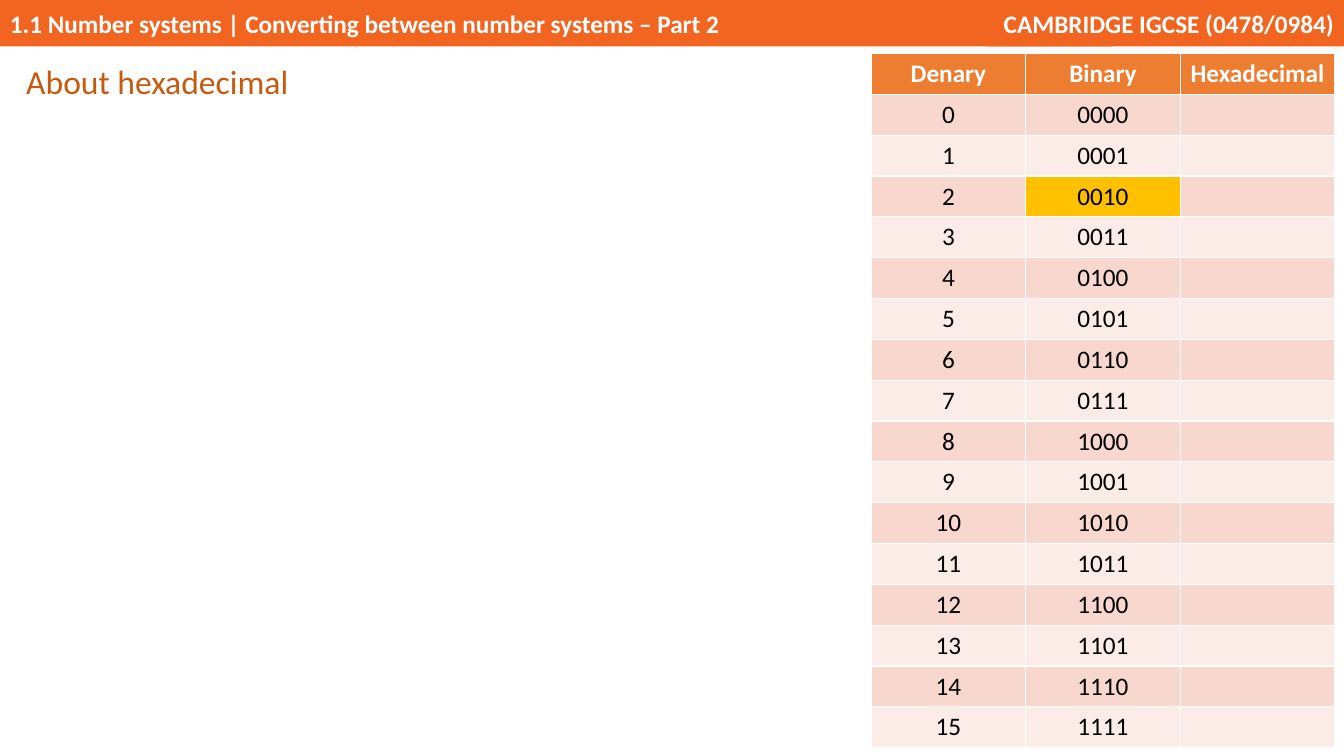
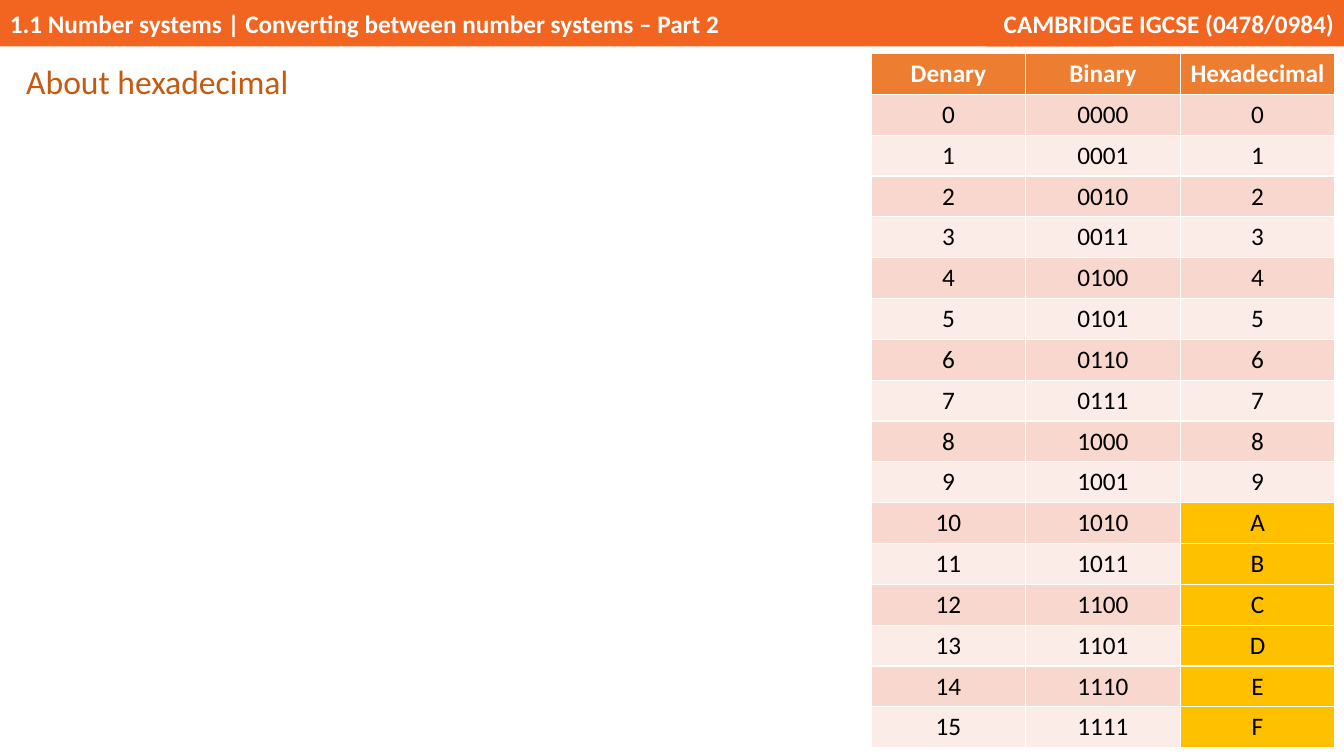
from pptx import Presentation
from pptx.dml.color import RGBColor
from pptx.enum import shapes, text
from pptx.util import Pt

FONT = "Calibri"
WHITE, BLACK = "FFFFFF", "000000"
BAND, TITLE, HEADER = "F26521", "C55A11", "ED7D31"
STRIPES = ("F8D7CE", "FCECE8")
HIGHLIGHT = "FFC000"

BAND_HEIGHT = 33.1
TITLE_BOX = (11.5, 38.2, 345.6, 36.7)
TABLE_BOX = (622.3, 38.2, 331.2, 496.1)
HEADINGS = ("Denary", "Binary", "Hexadecimal")
BINARY, HEXADECIMAL = 1, 2


def color(code):
    return RGBColor.from_string(code)


def style(para, size, code, bold=False, align=text.PP_ALIGN.LEFT):
    para.alignment = align
    para.font.name = FONT
    para.font.size = Pt(size)
    para.font.bold = bold
    para.font.color.rgb = color(code)


def add_band(page, box, words, align):
    """Draw one filled strip with bold white text."""
    band = page.shapes.add_shape(shapes.MSO_SHAPE.RECTANGLE, *map(Pt, box))
    band.shadow.inherit = False
    band.fill.solid()
    band.fill.fore_color.rgb = color(BAND)
    band.line.fill.background()
    frame = band.text_frame
    frame.word_wrap = True
    frame.vertical_anchor = text.MSO_ANCHOR.MIDDLE
    frame.text = words
    style(frame.paragraphs[0], 18, WHITE, True, align)


def add_header(page):
    add_band(page, (0, 0, 794.9, BAND_HEIGHT),
             "1.1 Number systems | Converting between number systems – Part 2",
             text.PP_ALIGN.LEFT)
    add_band(page, (704.4, 0, 255.6, BAND_HEIGHT),
             "CAMBRIDGE IGCSE (0478/0984)", text.PP_ALIGN.RIGHT)


def set_title(page, box, words):
    title = page.shapes.title
    title.left, title.top, title.width, title.height = map(Pt, box)
    frame = title.text_frame
    frame.word_wrap = True
    frame.auto_size = text.MSO_AUTO_SIZE.SHAPE_TO_FIT_TEXT
    frame.vertical_anchor = text.MSO_ANCHOR.TOP
    frame.text = words
    para = frame.paragraphs[0]
    para.line_spacing = 1.07
    para.space_after = Pt(8)
    style(para, 24, TITLE)


def add_number_table(page, box, show_hex, highlights):
    """List 0 to 15 in three bases; highlights holds (number, column) pairs."""
    rows = [HEADINGS] + [(str(n), f"{n:04b}", f"{n:X}" if show_hex else "")
                         for n in range(16)]
    table = page.shapes.add_table(len(rows), len(HEADINGS), *map(Pt, box)).table
    for column in table.columns:
        column.width = Pt(box[2] / len(HEADINGS))
    for row in table.rows:
        row.height = Pt(box[3] / len(rows))

    for number, values in enumerate(rows, start=-1):
        is_heading = number < 0
        for column, value in enumerate(values):
            cell = table.cell(number + 1, column)
            if is_heading:
                fill = HEADER
            elif (number, column) in highlights:
                fill = HIGHLIGHT
            else:
                fill = STRIPES[number % 2]
            cell.fill.solid()
            cell.fill.fore_color.rgb = color(fill)
            cell.vertical_anchor = text.MSO_ANCHOR.MIDDLE
            cell.text = value
            style(cell.text_frame.paragraphs[0], 18,
                  WHITE if is_heading else BLACK, is_heading,
                  text.PP_ALIGN.CENTER)


def add_page(deck, show_hex, highlights):
    page = deck.slides.add_slide(deck.slide_layouts[5])  # title only
    add_header(page)
    add_number_table(page, TABLE_BOX, show_hex, highlights)
    set_title(page, TITLE_BOX, "About hexadecimal")


def main():
    deck = Presentation()
    deck.slide_width, deck.slide_height = Pt(960), Pt(540)
    # Binary only, with one value marked
    add_page(deck, False, {(2, BINARY)})
    # All three bases, with the letter digits marked
    add_page(deck, True, {(n, HEXADECIMAL) for n in range(10, 16)})
    deck.save("out.pptx")


if __name__ == "__main__":
    main()
